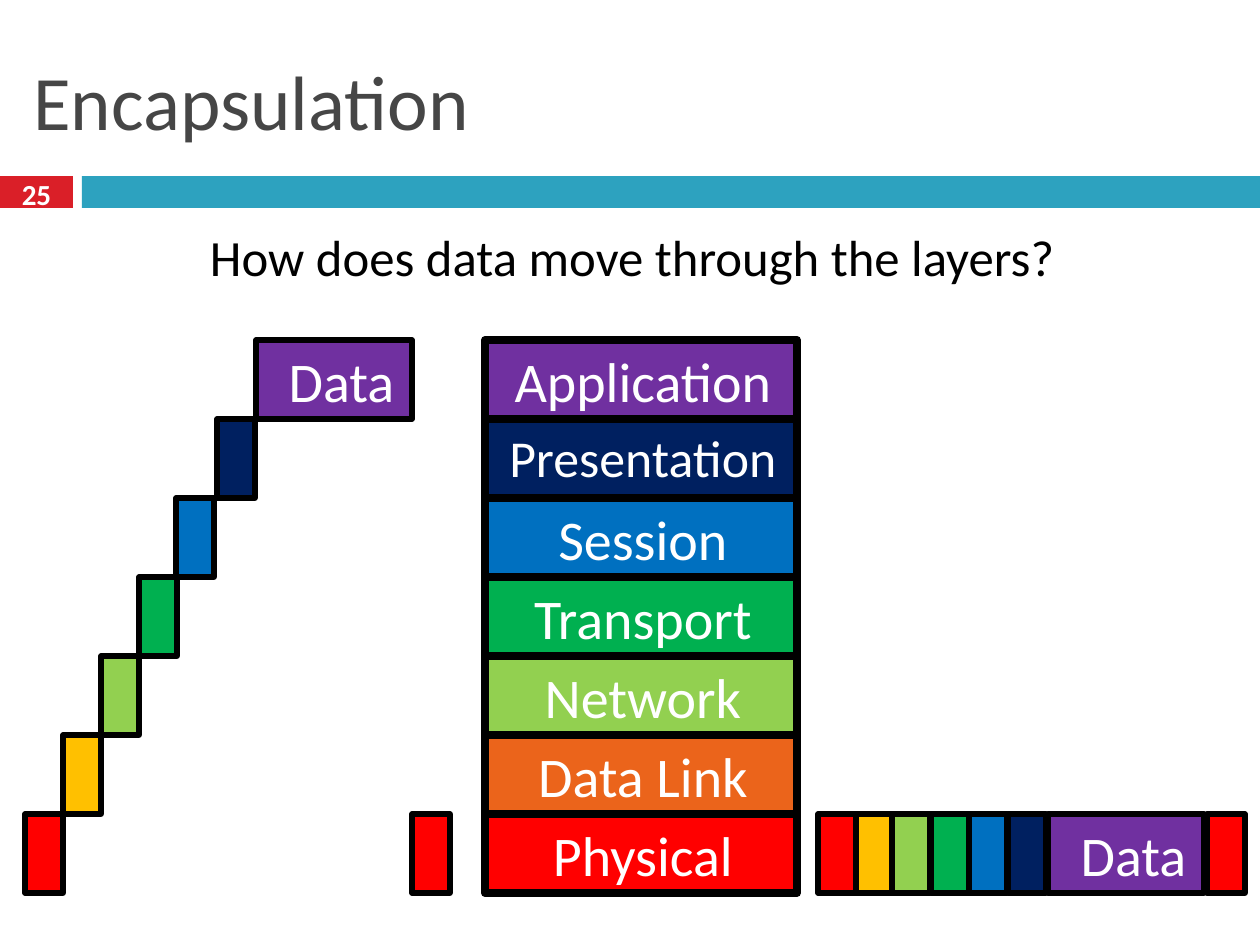
import pptx
import pptx.util
import pptx.dml.color
import pptx.enum.shapes
import pptx.enum.text

EMU_PER_PX = 914400 / 126
COLORS = {
    "black": "000000", "white": "FFFFFF", "title": "464646",
    "badge": "DA1F28", "bar": "2DA2BF",
    "purple": "7030A0", "navy": "002060", "blue": "0070C0",
    "green": "00B050", "lime": "92D050", "orange": "EB641B",
    "amber": "FFC000", "red": "FF0000",
}
ALIGN = pptx.enum.text.PP_ALIGN
ANCHOR = pptx.enum.text.MSO_ANCHOR


def px(value):
    return pptx.util.Emu(round(value * EMU_PER_PX))


def rgb(name):
    return pptx.dml.color.RGBColor.from_string(COLORS[name])


class SlideBuilder:
    """Holds the style and the current slide."""

    font = "Calibri"

    def __init__(self, page):
        self.page = page

    def set_text(self, box, text, size, color="white", align=ALIGN.CENTER,
                 anchor=ANCHOR.TOP, bold=False, indent=0):
        frame = box.text_frame
        frame.word_wrap = True
        frame.vertical_anchor = anchor
        para = frame.paragraphs[0]
        para.text = text
        para.alignment = align
        para.font.name = self.font
        para.font.size = pptx.util.Pt(size)
        para.font.bold = bold
        para.font.color.rgb = rgb(color)
        if indent:
            properties = para._p.get_or_add_pPr()
            properties.set("marL", str(px(indent)))
            properties.set("indent", "0")

    def rect(self, left, top, width, height, fill, border=0):
        box = self.page.shapes.add_shape(
            pptx.enum.shapes.MSO_SHAPE.RECTANGLE,
            px(left), px(top), px(width), px(height))
        box.shadow.inherit = False
        box.fill.solid()
        box.fill.fore_color.rgb = rgb(fill)
        if border:
            box.line.color.rgb = rgb("black")
            box.line.width = pptx.util.Pt(border)
        else:
            box.line.fill.background()
        return box

    def label(self, left, top, width, height, text, size, **style):
        box = self.page.shapes.add_textbox(
            px(left), px(top), px(width), px(height))
        self.set_text(box, text, size, **style)


ROW_TOP, ROW_HEIGHT = 340, 79
HEADER_WIDTH, DATA_WIDTH = 38, 156
INDENT = 15

# Name, text size, layer color, header color, header left in stairs and packet
LAYERS = [
    ("Application", 32, "purple", "purple", 256, 1048),
    ("Presentation", 29.6, "navy", "navy", 217, 1008),
    ("Session", 32, "blue", "blue", 176, 969),
    ("Transport", 32, "green", "green", 139, 931),
    ("Network", 32, "lime", "lime", 101, 892),
    ("Data Link", 32, "orange", "amber", 63, 854),
    ("Physical", 32, "red", "red", 25, 818),
]


def row_top(row):
    return ROW_TOP + row * ROW_HEIGHT


def add_piece(builder, row, left, top):
    """Draw the data block for the top layer, a header for the others."""
    width = HEADER_WIDTH if row else DATA_WIDTH
    box = builder.rect(left, top, width, ROW_HEIGHT, LAYERS[row][3], border=3)
    if row == 0:
        builder.set_text(box, "Data", 32, indent=INDENT)


def main():
    deck = pptx.Presentation()
    deck.slide_width, deck.slide_height = px(1260), px(945)
    builder = SlideBuilder(deck.slides.add_slide(deck.slide_layouts[6]))

    # Title band
    builder.rect(0, 176, 73, 32, "badge")
    builder.rect(82, 176, 1178, 32, "bar")
    builder.label(21, 32, 1218, 136, "Encapsulation", 44, color="title",
                  align=ALIGN.LEFT, anchor=ANCHOR.MIDDLE)
    builder.label(0, 173, 73, 42, "25", 16.6, bold=True, anchor=ANCHOR.MIDDLE)
    builder.label(25, 220, 1215, 82, "How does data move through the layers?",
                  29, color="black")

    # Layer stack
    for row, (name, size, color, *_) in enumerate(LAYERS):
        builder.rect(485, row_top(row), 312, ROW_HEIGHT, color, border=4.5)
        builder.label(481, row_top(row), 309, ROW_HEIGHT, name, size,
                      indent=INDENT)

    last = len(LAYERS) - 1

    # Stairs of headers, with the physical trailer
    for row, layer in enumerate(LAYERS):
        add_piece(builder, row, layer[4], row_top(row))
    add_piece(builder, last, 412, row_top(last))

    # Assembled packet, with the physical trailer
    for row, layer in enumerate(LAYERS):
        add_piece(builder, row, layer[5], row_top(last))
    add_piece(builder, last, 1207, row_top(last))

    deck.save("out.pptx")


if __name__ == "__main__":
    main()
